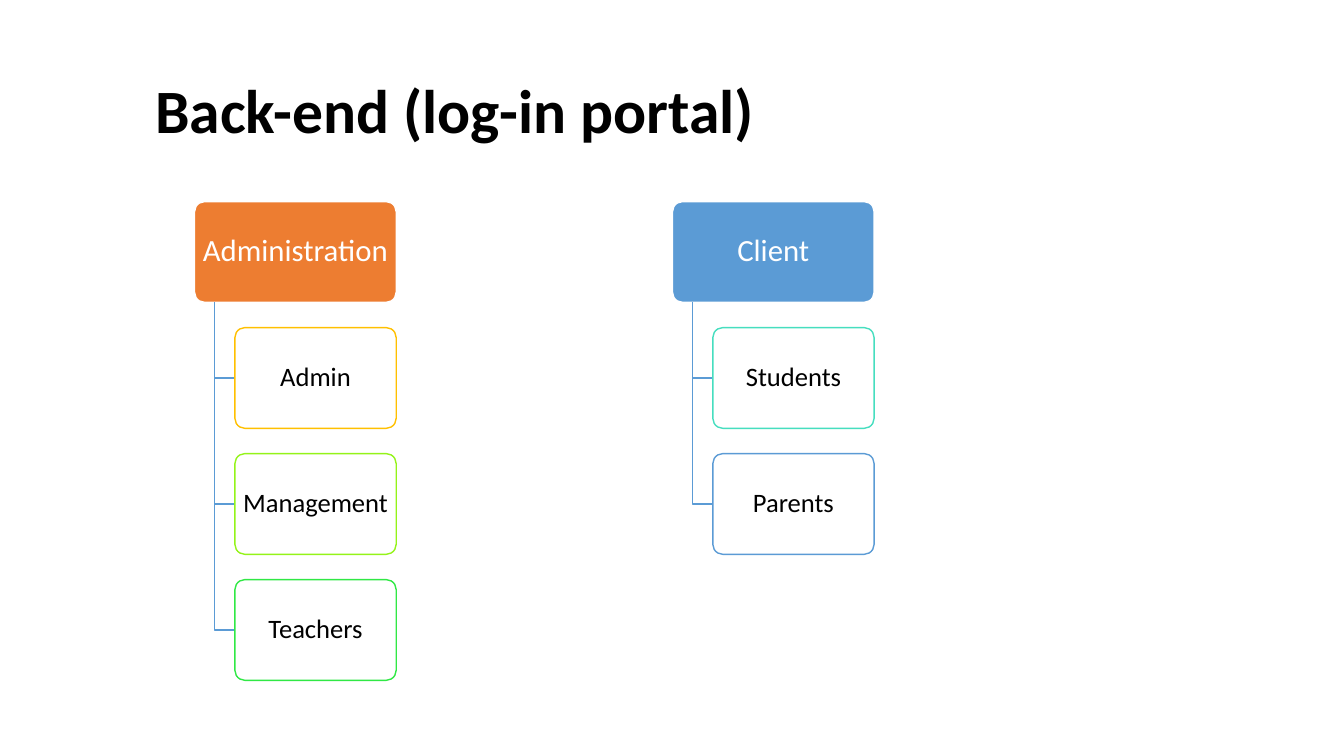
from lxml.etree import SubElement
from pptx import Presentation
from pptx.dml.color import RGBColor
from pptx.enum.shapes import MSO_SHAPE
from pptx.enum.text import MSO_ANCHOR, MSO_AUTO_SIZE, PP_ALIGN
from pptx.oxml.ns import qn
from pptx.util import Inches, Pt

FONT = "Calibri"
BLACK = RGBColor(0x00, 0x00, 0x00)
WHITE = RGBColor(0xFF, 0xFF, 0xFF)
ORANGE = RGBColor(0xED, 0x7D, 0x31)
BLUE = RGBColor(0x5B, 0x9B, 0xD5)
GOLD = RGBColor(0xFF, 0xC0, 0x00)
LIME = RGBColor(0x94, 0xF3, 0x19)
GREEN = RGBColor(0x30, 0xE8, 0x45)
TEAL = RGBColor(0x46, 0xDE, 0xBF)

CARD_H = 1
PITCH = 1.25 * CARD_H
BRANCHES = [
    ("Administration", ORANGE,
     [("Admin", GOLD), ("Management", LIME), ("Teachers", GREEN)]),
    ("Client", BLUE, [("Students", TEAL), ("Parents", BLUE)]),
]


def add_run(p, text, size, color, bold=False):
    p.line_spacing = 0.9
    r = p.add_run()
    r.text = text
    r.font.name = FONT
    r.font.size = Pt(size)
    r.font.bold = bold
    r.font.color.rgb = color


def add_title(s, text, x, y, w, h):
    sp = s.shapes.title
    sp.left, sp.top, sp.width, sp.height = map(Inches, (x, y, w, h))
    tf = sp.text_frame
    tf.auto_size = MSO_AUTO_SIZE.NONE
    tf.vertical_anchor = MSO_ANCHOR.MIDDLE
    p = tf.paragraphs[0]
    p.alignment = PP_ALIGN.LEFT
    add_run(p, text, 44, BLACK, bold=True)


def add_card(shapes, text, x, y, w, fill, line, color, size, inset, alpha=None):
    sp = shapes.add_shape(MSO_SHAPE.ROUNDED_RECTANGLE,
                          *map(Inches, (x, y, w, CARD_H)))
    sp.adjustments[0] = 0.1
    sp.shadow.inherit = False
    sp.fill.solid()
    sp.fill.fore_color.rgb = fill
    if alpha:
        clr = sp.fill._xPr.find(qn("a:solidFill"))[0]
        SubElement(clr, qn("a:alpha")).set("val", str(alpha * 1000))
    sp.line.color.rgb = line
    sp.line.width = Pt(1)
    tf = sp.text_frame
    tf.word_wrap = True
    tf.vertical_anchor = MSO_ANCHOR.MIDDLE
    tf.margin_left = tf.margin_right = Inches(inset)
    tf.margin_top = tf.margin_bottom = Inches(0.03)
    p = tf.paragraphs[0]
    p.alignment = PP_ALIGN.CENTER
    add_run(p, text, size, color)


def add_elbow(shapes, *box):
    x, top, right, bottom = map(Inches, box)
    builder = shapes.build_freeform(x, top)
    builder.add_line_segments([(x, bottom), (right, bottom)], close=False)
    sp = builder.convert_to_shape()
    sp.shadow.inherit = False
    sp.fill.background()
    sp.line.color.rgb = BLUE
    sp.line.width = Pt(1)


def add_branch(shapes, branch, x, y, w):
    name, fill, roles = branch
    stem, indent = 0.1 * w, 0.2 * w
    add_card(shapes, name, x, y, w, fill, WHITE, WHITE, 22, 0.05)
    for i, (role, line) in enumerate(roles, 1):
        top = y + i * PITCH
        add_elbow(shapes, x + stem, y + CARD_H, x + indent, top + CARD_H / 2)
        add_card(shapes, role, x + indent, top, w - indent,
                 WHITE, line, BLACK, 19, 0.04, alpha=90)


def build_portal_slide(prs):
    s = prs.slides.add_slide(prs.slide_layouts[5])
    add_title(s, "Back-end (log-in portal)", 1.44, 0.4, 10.98, 1.45)
    shapes = s.shapes.add_group_shape().shapes
    for col, branch in enumerate(BRANCHES):
        add_branch(shapes, branch, 1.93 + col * 4.74, 2, 2)


def main():
    prs = Presentation()
    prs.slide_width, prs.slide_height = Inches(13.33), Inches(7.5)
    build_portal_slide(prs)
    prs.save("out.pptx")


if __name__ == "__main__":
    main()
